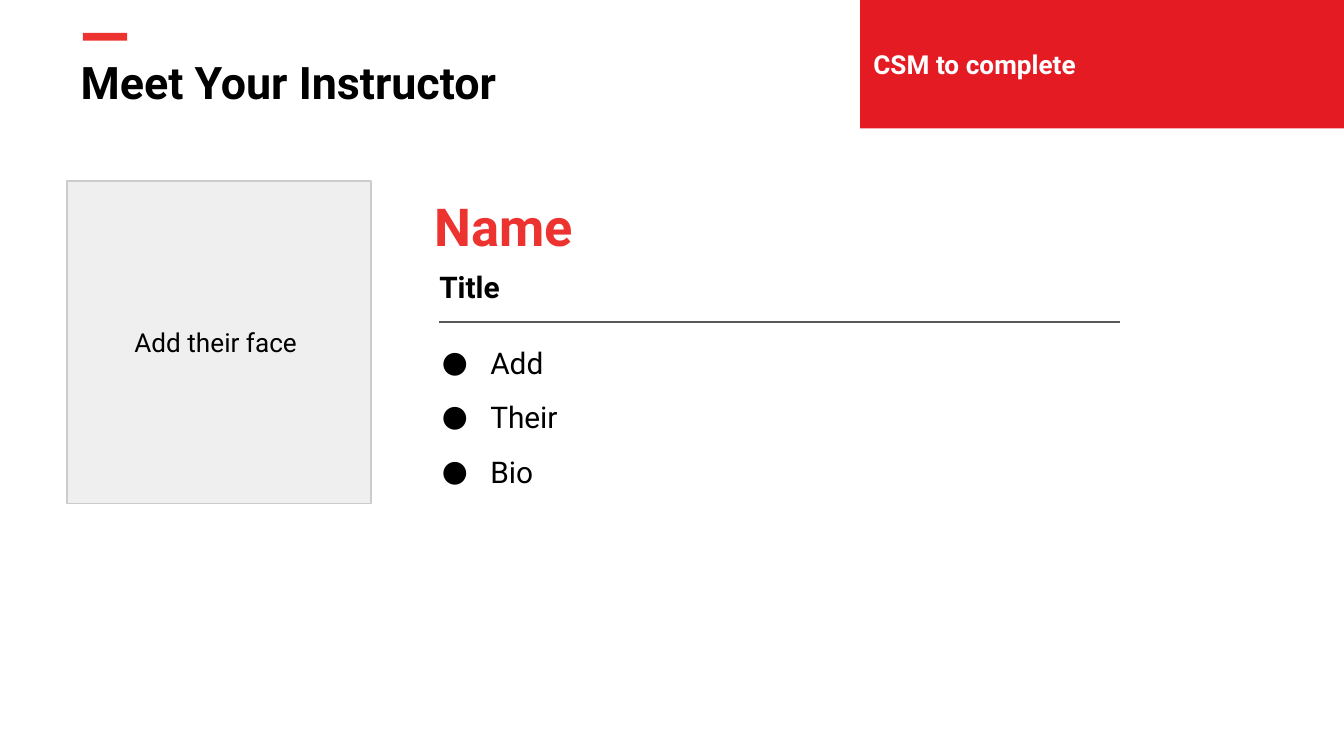
"""Build the instructor introduction slide."""
from dataclasses import dataclass
from typing import Any, Optional

import lxml.etree
import pptx
import pptx.dml.color
import pptx.enum.shapes
import pptx.enum.text
import pptx.oxml.ns
import pptx.util

ANCHOR = pptx.enum.text.MSO_ANCHOR
ALIGN = pptx.enum.text.PP_ALIGN


@dataclass(frozen=True)
class Theme:
    font: str = "Roboto"
    ink: str = "000000"
    paper: str = "FFFFFF"
    accent: str = "ED332F"
    banner: str = "E51B24"
    panel: str = "EFEFEF"
    panel_edge: str = "CCCCCC"
    rule: str = "595959"
    heading: int = 24
    name: int = 28
    body: int = 16
    label: int = 14
    hairline: float = 0.75


@dataclass(frozen=True)
class Area:
    """Hold a place in square grid cells, 100 across the slide."""
    column: float
    row: float
    columns: float
    rows: float


@dataclass(frozen=True)
class Words:
    lines: tuple[str, ...]
    size: int
    color: str
    bold: bool = False
    align: Any = ALIGN.LEFT
    anchor: Any = ANCHOR.TOP
    spacing: float = 1.0
    gap: float = 0
    bullet: Optional[str] = None


@dataclass(frozen=True)
class Block:
    area: Area
    fill: str
    edge: Optional[str] = None
    words: Optional[Words] = None


@dataclass(frozen=True)
class Label:
    area: Area
    words: Words


THEME = Theme()
CELL = pptx.util.Inches(0.1)
SLIDE_COLUMNS, SLIDE_ROWS = 100, 56.25

HEADING = Label(
    Area(5, 3.1, 50, 6.3),
    Words(("Meet Your Instructor",), THEME.heading, THEME.ink, bold=True))
BLOCKS = (
    Block(Area(6.17, 2.44, 3.3, 0.6), THEME.accent),
    Block(Area(5, 13.46, 22.6, 24), THEME.panel, THEME.panel_edge,
          Words(("Add their face ",), THEME.label, THEME.ink,
                align=ALIGN.CENTER, anchor=ANCHOR.MIDDLE)),
    Block(Area(64, 0, 36, 9.56), THEME.banner, None,
          Words(("CSM to complete",), THEME.label, THEME.paper, bold=True,
                anchor=ANCHOR.MIDDLE)),
)
LABELS = (
    Label(Area(31.7, 18.6, 53.8, 4.5),
          Words(("Title",), THEME.body, THEME.ink, bold=True, spacing=1.15)),
    Label(Area(31.34, 13.46, 43.2, 4.5),
          Words(("Name",), THEME.name, THEME.accent, bold=True)),
    Label(Area(30.5, 24.64, 64.5, 21.9),
          Words(("Add", "Their", "Bio"), THEME.body, THEME.ink, gap=10, bullet="●")),
)
RULE = Area(32.7, 23.96, 50.6, 0)


def cells(count: float) -> int:
    """Turn grid cells into a length."""
    return round(count * CELL)


def bounds(area: Area) -> tuple[int, ...]:
    """Return left, top, width and height."""
    return tuple(map(cells, (area.column, area.row, area.columns, area.rows)))


def rgb(color: str) -> pptx.dml.color.RGBColor:
    """Read a hex colour."""
    return pptx.dml.color.RGBColor.from_string(color)


def apply(target: Any, values: dict[str, Any]) -> None:
    """Set each attribute named in the values."""
    for key, value in values.items():
        setattr(target, key, value)


def add_bullet(para: Any, symbol: str, color: str) -> None:
    """Give a paragraph a hanging coloured bullet."""
    properties = para._p.get_or_add_pPr()
    properties.set("marL", str(cells(5)))
    properties.set("indent", str(cells(-3.6)))
    tag = pptx.oxml.ns.qn
    holder = lxml.etree.SubElement(properties, tag("a:buClr"))
    lxml.etree.SubElement(holder, tag("a:srgbClr"), val=color)
    lxml.etree.SubElement(properties, tag("a:buFont"), typeface=THEME.font)
    lxml.etree.SubElement(properties, tag("a:buChar"), char=symbol)


def write(box: Any, words: Words) -> None:
    """Fill a text frame with formatted paragraphs."""
    frame = box.text_frame
    margins = {f"margin_{side}": cells(1) for side in ("left", "top", "right", "bottom")}
    apply(frame, {**margins, "word_wrap": True, "vertical_anchor": words.anchor,
                  "auto_size": pptx.enum.text.MSO_AUTO_SIZE.NONE})
    for index, line in enumerate(words.lines):
        para = frame.add_paragraph() if index else frame.paragraphs[0]
        apply(para, {"alignment": words.align, "line_spacing": words.spacing,
                     "space_before": pptx.util.Pt(words.gap if index else 0),
                     "space_after": pptx.util.Pt(0)})
        if words.bullet:
            add_bullet(para, words.bullet, words.color)
        span = para.add_run()
        span.text = line
        apply(span.font, {"name": THEME.font, "bold": words.bold,
                          "size": pptx.util.Pt(words.size)})
        span.font.color.rgb = rgb(words.color)


def draw_heading(page: Any, heading: Label) -> None:
    """Place and fill the title placeholder."""
    title = page.shapes.title
    apply(title, dict(zip(("left", "top", "width", "height"), bounds(heading.area))))
    write(title, heading.words)


def draw_block(page: Any, block: Block) -> None:
    """Draw a filled rectangle with optional edge and words."""
    kind = pptx.enum.shapes.MSO_SHAPE.RECTANGLE
    shape = page.shapes.add_shape(kind, *bounds(block.area))
    shape.shadow.inherit = False
    shape.fill.solid()
    shape.fill.fore_color.rgb = rgb(block.fill)
    if block.edge:
        shape.line.color.rgb = rgb(block.edge)
        shape.line.width = pptx.util.Pt(THEME.hairline)
    else:
        shape.line.fill.background()
    if block.words:
        write(shape, block.words)


def draw_label(page: Any, label: Label) -> None:
    """Draw a text box."""
    write(page.shapes.add_textbox(*bounds(label.area)), label.words)


def draw_rule(page: Any, area: Area) -> None:
    """Draw a thin straight line across an area."""
    left, top, width, height = bounds(area)
    rule = page.shapes.add_connector(pptx.enum.shapes.MSO_CONNECTOR.STRAIGHT,
                                     left, top, left + width, top + height)
    rule.line.color.rgb = rgb(THEME.rule)
    rule.line.width = pptx.util.Pt(THEME.hairline)
    lxml.etree.SubElement(rule._element.spPr, pptx.oxml.ns.qn("a:effectLst"))


def main() -> None:
    """Build and save the deck."""
    deck = pptx.Presentation()
    apply(deck, {"slide_width": cells(SLIDE_COLUMNS), "slide_height": cells(SLIDE_ROWS)})
    page = deck.slides.add_slide(deck.slide_layouts.get_by_name("Title Only"))
    draw_heading(page, HEADING)
    draw_rule(page, RULE)
    for label in LABELS:
        draw_label(page, label)
    for block in BLOCKS:
        draw_block(page, block)
    deck.save("out.pptx")


if __name__ == "__main__":
    main()
